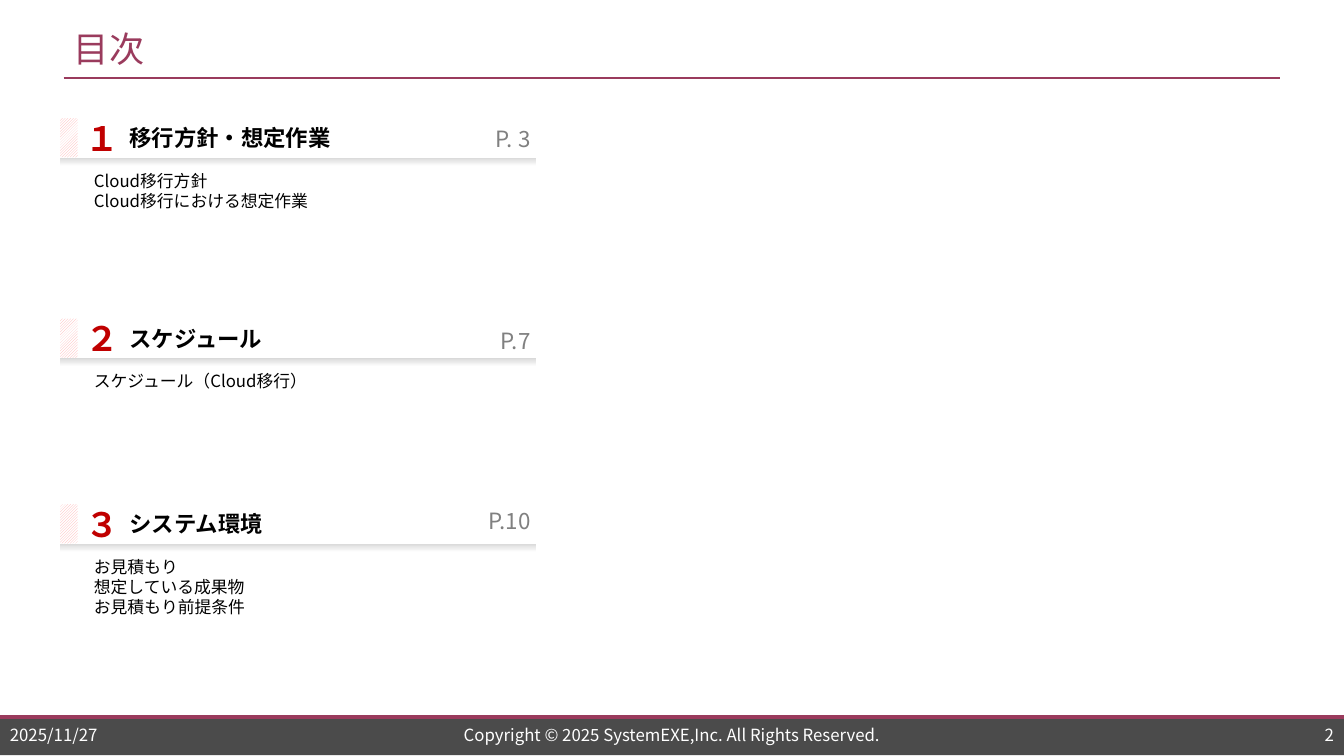
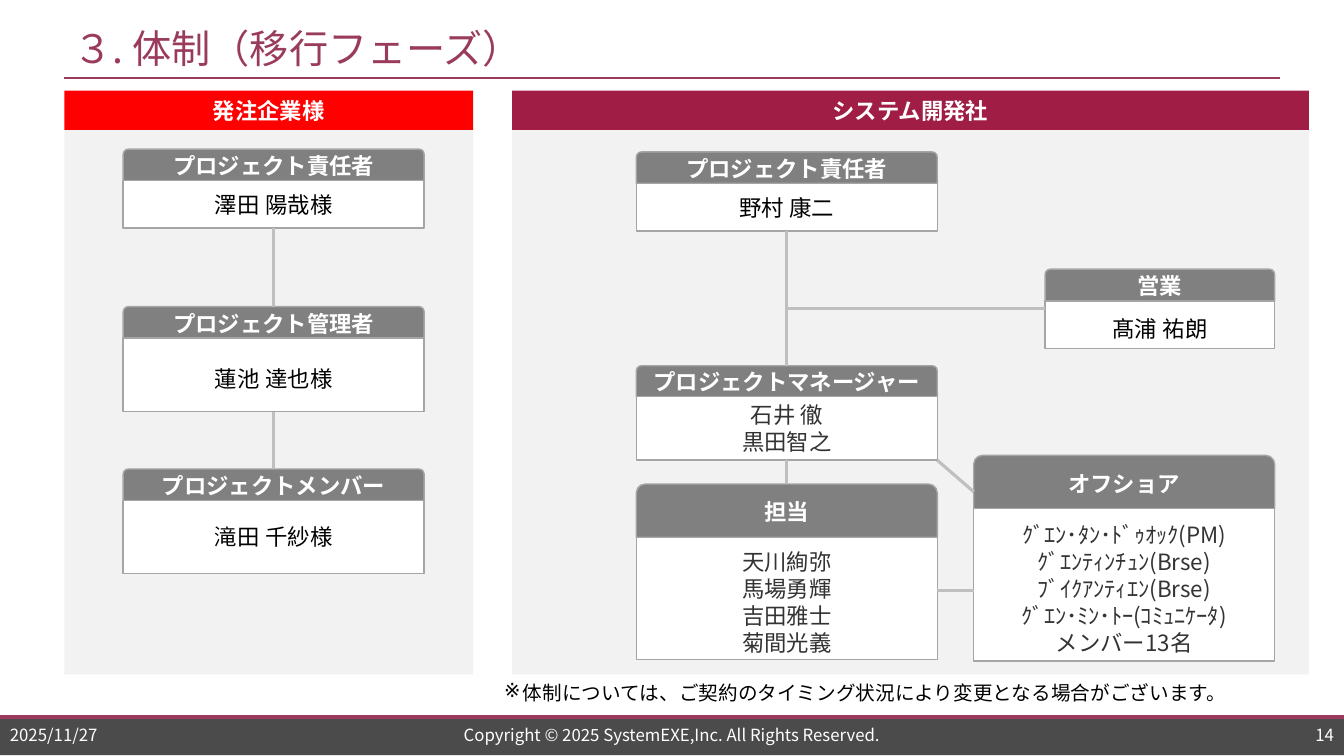
from dataclasses import dataclass, replace
from typing import Optional, Sequence

from lxml.etree import SubElement
from pptx import Presentation
from pptx.dml.color import RGBColor
from pptx.enum.dml import MSO_PATTERN
from pptx.enum.shapes import MSO_CONNECTOR, MSO_SHAPE
from pptx.enum.text import MSO_ANCHOR, PP_ALIGN
from pptx.oxml.ns import qn
from pptx.util import Pt

BLACK = RGBColor(0x00, 0x00, 0x00)
WHITE = RGBColor(0xFF, 0xFF, 0xFF)
CHARCOAL = RGBColor(0x33, 0x33, 0x33)
BAND = RGBColor(0x4B, 0x4B, 0x4B)
GRAY = RGBColor(0x80, 0x80, 0x80)
OUTLINE = RGBColor(0xA5, 0xA5, 0xA5)
LINK = RGBColor(0xBF, 0xBF, 0xBF)
SHADE = RGBColor(0xD9, 0xD9, 0xD9)
PANEL = RGBColor(0xF2, 0xF2, 0xF2)
PLUM = RGBColor(0x9A, 0x3B, 0x5D)
WINE = RGBColor(0xA0, 0x1D, 0x45)
RED = RGBColor(0xFF, 0x00, 0x00)
DEEP_RED = RGBColor(0xC0, 0x00, 0x00)
PINK = RGBColor(0xFF, 0xAF, 0xAF)

NOTO = "Noto Sans CJK JP"
ARIAL = "Arial"
CALIBRI = "Calibri"

PAGE_WIDTH, PAGE_HEIGHT = 960, 540
LINE_FACTOR = 1.2
DATE = "2025/11/27"
COPYRIGHT = "Copyright © 2025 SystemEXE,Inc. All Rights Reserved."


@dataclass(frozen=True)
class Style:
    size: float
    color: RGBColor = BLACK
    font: str = NOTO
    bold: bool = False


@dataclass(frozen=True)
class Span:
    text: str
    style: Style


@dataclass(frozen=True)
class Area:
    left: float
    top: float
    width: float
    height: float

    @property
    def center(self) -> float:
        return self.left + self.width / 2

    @property
    def right(self) -> float:
        return self.left + self.width

    @property
    def bottom(self) -> float:
        return self.top + self.height

    def lengths(self) -> tuple:
        return Pt(self.left), Pt(self.top), Pt(self.width), Pt(self.height)


@dataclass(frozen=True)
class Section:
    number: str
    heading: str
    page_label: str
    items: tuple
    top: float
    label_top: float


@dataclass(frozen=True)
class Card:
    role: str
    members: tuple
    header: Area
    body_height: float
    top_inset: float = 3.6

    @property
    def body(self) -> Area:
        return replace(self.header, top=self.header.bottom, height=self.body_height)


FOOTER = Style(12, WHITE)
NUMBER = Style(24, DEEP_RED, bold=True)
HEADING = Style(16, font=ARIAL, bold=True)
PAGE_LABEL = Style(16, GRAY)
ITEM = Style(12)
ROLE = Style(16, WHITE, ARIAL, True)
PERSON = Style(16, font=ARIAL)
PERSON_CALIBRI = Style(16, font=CALIBRI)
STAFF = Style(16, CHARCOAL)
NOTE = Style(14)

SECTIONS = (
    Section("１", "移行方針・想定作業", "P. 3",
            ("Cloud移行方針", "Cloud移行における想定作業"), 84.4, 85),
    Section("２", "スケジュール", "P.7", ("スケジュール（Cloud移行）",), 227.6, 229),
    Section("３", "システム環境", "P.10",
            ("お見積もり", "想定している成果物", "お見積もり前提条件"), 360.2, 358),
)


def lines(style: Style, *texts: str) -> tuple:
    """Turn each text into a paragraph made of one span."""
    return tuple((Span(text, style),) for text in texts)


CLIENT_LEFT, VENDOR_LEFT, CARD_WIDTH = 88, 454.5, 215
CLIENT_OWNER = Card("プロジェクト責任者", lines(PERSON, "澤田 陽哉様"),
                    Area(CLIENT_LEFT, 106.5, CARD_WIDTH, 22.5), 34)
CLIENT_MANAGER = Card("プロジェクト管理者", lines(PERSON, "蓮池 達也様"),
                      Area(CLIENT_LEFT, 219, CARD_WIDTH, 22.5), 52.5, 8.6)
CLIENT_MEMBER = Card("プロジェクトメンバー",
                     ((Span("滝田 千紗", PERSON), Span("様", PERSON_CALIBRI)),),
                     Area(CLIENT_LEFT, 335, CARD_WIDTH, 22.5), 52)
VENDOR_OWNER = Card("プロジェクト責任者", lines(PERSON_CALIBRI, "野村 康二"),
                    Area(VENDOR_LEFT, 108.5, CARD_WIDTH, 22.5), 34)
VENDOR_MANAGER = Card("プロジェクトマネージャー", lines(STAFF, "石井 徹", "黒田智之"),
                      Area(VENDOR_LEFT, 261.25, CARD_WIDTH, 22), 45.5)
SALES = Card("営業", lines(PERSON, "髙浦 祐朗"), Area(746.5, 192.25, 164, 22.75), 34, 8.6)
VENDOR_STAFF = Card("担当", lines(STAFF, "天川絢弥", "馬場勇輝", "吉田雅士", "菊間光義"),
                    Area(VENDOR_LEFT, 345.75, CARD_WIDTH, 38), 87.25, 8.6)
OFFSHORE = Card("オフショア",
                lines(STAFF, "ｸﾞｴﾝ･ﾀﾝ･ﾄﾞｩｵｯｸ(PM)", "ｸﾞｴﾝﾃｨﾝﾁｭﾝ(Brse)", "ﾌﾞｲｸｱﾝﾃｨｴﾝ(Brse)",
                      "ｸﾞｴﾝ･ﾐﾝ･ﾄｰ(ｺﾐｭﾆｹｰﾀ)", "メンバー13名"),
                Area(695.5, 325.25, CARD_WIDTH, 38), 109, 8.6)
CARDS = (CLIENT_OWNER, CLIENT_MANAGER, CLIENT_MEMBER, VENDOR_OWNER,
         VENDOR_MANAGER, SALES, VENDOR_STAFF, OFFSHORE)


def write(frame, paragraphs: Sequence, align=PP_ALIGN.LEFT, anchor=MSO_ANCHOR.MIDDLE) -> None:
    frame.word_wrap = True
    frame.vertical_anchor = anchor
    for index, spans in enumerate(paragraphs):
        para = frame.paragraphs[0] if index == 0 else frame.add_paragraph()
        para.alignment = align
        para.line_spacing = Pt(round(spans[0].style.size * LINE_FACTOR, 1))
        for span in spans:
            run = para.add_run()
            run.text = span.text
            font = run.font
            font.size = Pt(span.style.size)
            font.bold = span.style.bold
            font.name = span.style.font
            font.color.rgb = span.style.color
            east_asian = SubElement(font._element, qn("a:ea"))
            east_asian.set("typeface", span.style.font)


def add_text(page, area: Area, paragraphs: Sequence, align=PP_ALIGN.LEFT,
             anchor=MSO_ANCHOR.MIDDLE):
    box = page.shapes.add_textbox(*area.lengths())
    write(box.text_frame, paragraphs, align, anchor)
    return box


def add_box(page, area: Area, fill: Optional[RGBColor] = None,
            outline: Optional[RGBColor] = None, kind=MSO_SHAPE.RECTANGLE):
    box = page.shapes.add_shape(kind, *area.lengths())
    box.shadow.inherit = False
    if fill is not None:
        box.fill.solid()
        box.fill.fore_color.rgb = fill
    if outline is None:
        box.line.fill.background()
    else:
        box.line.color.rgb = outline
        box.line.width = Pt(1)
    return box


def add_line(page, start: tuple, end: tuple, color: RGBColor = LINK, width: float = 2.25):
    line = page.shapes.add_connector(MSO_CONNECTOR.STRAIGHT, Pt(start[0]), Pt(start[1]),
                                     Pt(end[0]), Pt(end[1]))
    line.line.color.rgb = color
    line.line.width = Pt(width)
    SubElement(line.element.spPr, qn("a:effectLst"))
    return line


def add_page(deck, title: str, title_size: float, number: str):
    """Add a page with the shared title, rule and footer band."""
    page = deck.slides.add_slide(deck.slide_layouts.get_by_name("Title Only"))
    add_box(page, Area(0, 511.5, PAGE_WIDTH, 28), BAND)
    add_line(page, (0, 512), (PAGE_WIDTH, 512), PLUM, 2.75)
    add_line(page, (45.5, 56), (914.5, 56), PLUM, 1.5)
    heading = page.shapes.title
    heading.left, heading.top, heading.width, heading.height = Area(45.5, 14.5, 869, 39.5).lengths()
    write(heading.text_frame, lines(Style(title_size, PLUM), title))
    for left, width, text, align in (
        (0, 113, DATE, PP_ALIGN.LEFT),
        (239, 482, COPYRIGHT, PP_ALIGN.CENTER),
        (847, 113, number, PP_ALIGN.RIGHT),
    ):
        add_text(page, Area(left, 516, width, 17.5), lines(FOOTER, text), align)
    return page


def add_section(page, section: Section) -> None:
    top, height = section.top, 28
    marker = add_box(page, Area(43, top, 12.5, height))
    marker.fill.patterned()
    marker.fill.pattern = MSO_PATTERN.DARK_UPWARD_DIAGONAL
    marker.fill.fore_color.rgb = PINK
    marker.fill.back_color.rgb = WHITE
    add_text(page, Area(54, top, 38, height), lines(NUMBER, section.number))
    add_text(page, Area(85.5, top, 230, height), lines(HEADING, section.heading))
    add_text(page, Area(314, section.label_top, 72, height),
             lines(PAGE_LABEL, section.page_label), PP_ALIGN.RIGHT)
    underline = add_box(page, Area(43, top + 28.25, 340, 6))
    underline.fill.gradient()
    underline.fill.gradient_angle = 270
    for stop, color in zip(underline.fill.gradient_stops, (SHADE, WHITE)):
        stop.color.rgb = color
    add_text(page, Area(60, top + 33.75, 325, 92), lines(ITEM, *section.items),
             anchor=MSO_ANCHOR.TOP)


def add_panel(page, left: float, width: float, name: str, color: RGBColor) -> None:
    add_box(page, Area(left, 92.75, width, 389), PANEL)
    header = add_box(page, Area(left, 64.75, width, 28), color)
    write(header.text_frame, lines(ROLE, name), PP_ALIGN.CENTER)


def add_card(page, card: Card):
    """Draw a role header over its members and return the members box."""
    header = add_box(page, card.header, GRAY, OUTLINE, MSO_SHAPE.ROUND_2_SAME_RECTANGLE)
    body = add_box(page, card.body, WHITE, OUTLINE)
    for box, paragraphs, top_inset in (
        (header, lines(ROLE, card.role), 3.6),
        (body, card.members, card.top_inset),
    ):
        frame = box.text_frame
        frame.margin_left = frame.margin_right = Pt(3)
        frame.margin_top, frame.margin_bottom = Pt(top_inset), Pt(3.6)
        write(frame, paragraphs, PP_ALIGN.CENTER)
    return body


def add_contents_page(deck) -> None:
    page = add_page(deck, "目次", 25.2, "2")
    for section in SECTIONS:
        add_section(page, section)


def add_team_page(deck) -> None:
    page = add_page(deck, "３. 体制（移行フェーズ）", 28, "14")
    add_panel(page, 46, 292, "発注企業様", RED)
    add_panel(page, 365.75, 569.25, "システム開発社", WINE)
    bodies = {card: add_card(page, card) for card in CARDS}

    for upper, lower in (
        (CLIENT_OWNER, CLIENT_MANAGER),
        (CLIENT_MANAGER, CLIENT_MEMBER),
        (VENDOR_OWNER, VENDOR_MANAGER),
        (VENDOR_MANAGER, VENDOR_STAFF),
    ):
        line = add_line(page, (upper.body.center, upper.body.bottom),
                        (lower.header.center, lower.header.top))
        line.begin_connect(bodies[upper], 2)

    add_line(page, (SALES.body.left, 220.5), (VENDOR_OWNER.body.center, 220.5))
    add_line(page, (OFFSHORE.header.left, 351.25),
             (VENDOR_MANAGER.body.right, VENDOR_MANAGER.body.bottom))
    add_line(page, (OFFSHORE.body.left, 422), (VENDOR_STAFF.body.right, 422))

    note = add_text(page, Area(353, 483, 562, 28),
                    lines(NOTE, "体制については、ご契約のタイミング状況により変更となる場合がございます。"),
                    anchor=MSO_ANCHOR.TOP)
    properties = note.text_frame.paragraphs[0]._p.get_or_add_pPr()
    properties.set("marL", str(Pt(13.5)))
    properties.set("indent", str(-Pt(13.5)))
    SubElement(properties, qn("a:buChar")).set("char", "※")


def main() -> None:
    deck = Presentation()
    deck.slide_width, deck.slide_height = Pt(PAGE_WIDTH), Pt(PAGE_HEIGHT)
    add_contents_page(deck)
    add_team_page(deck)
    deck.save("out.pptx")


if __name__ == "__main__":
    main()
